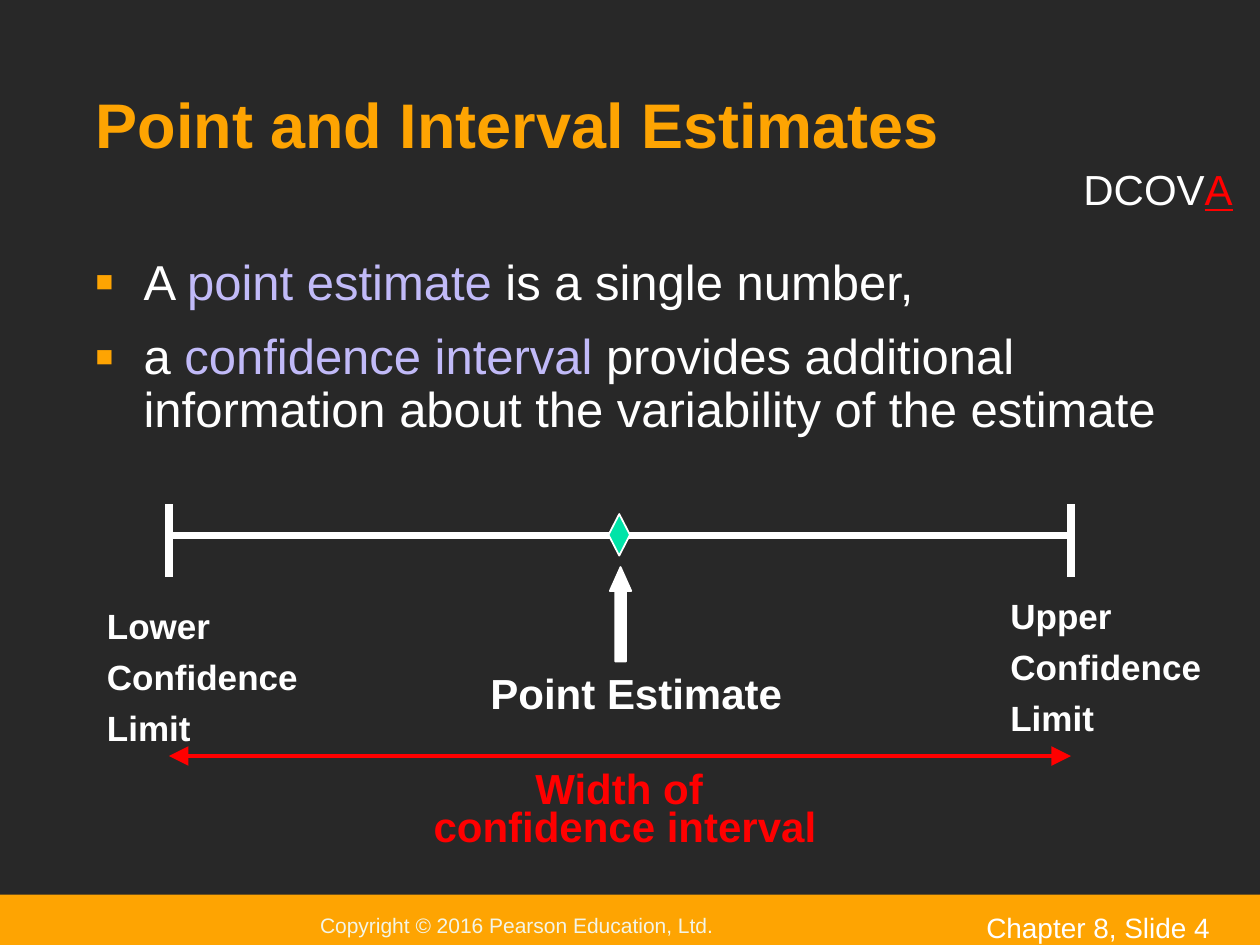
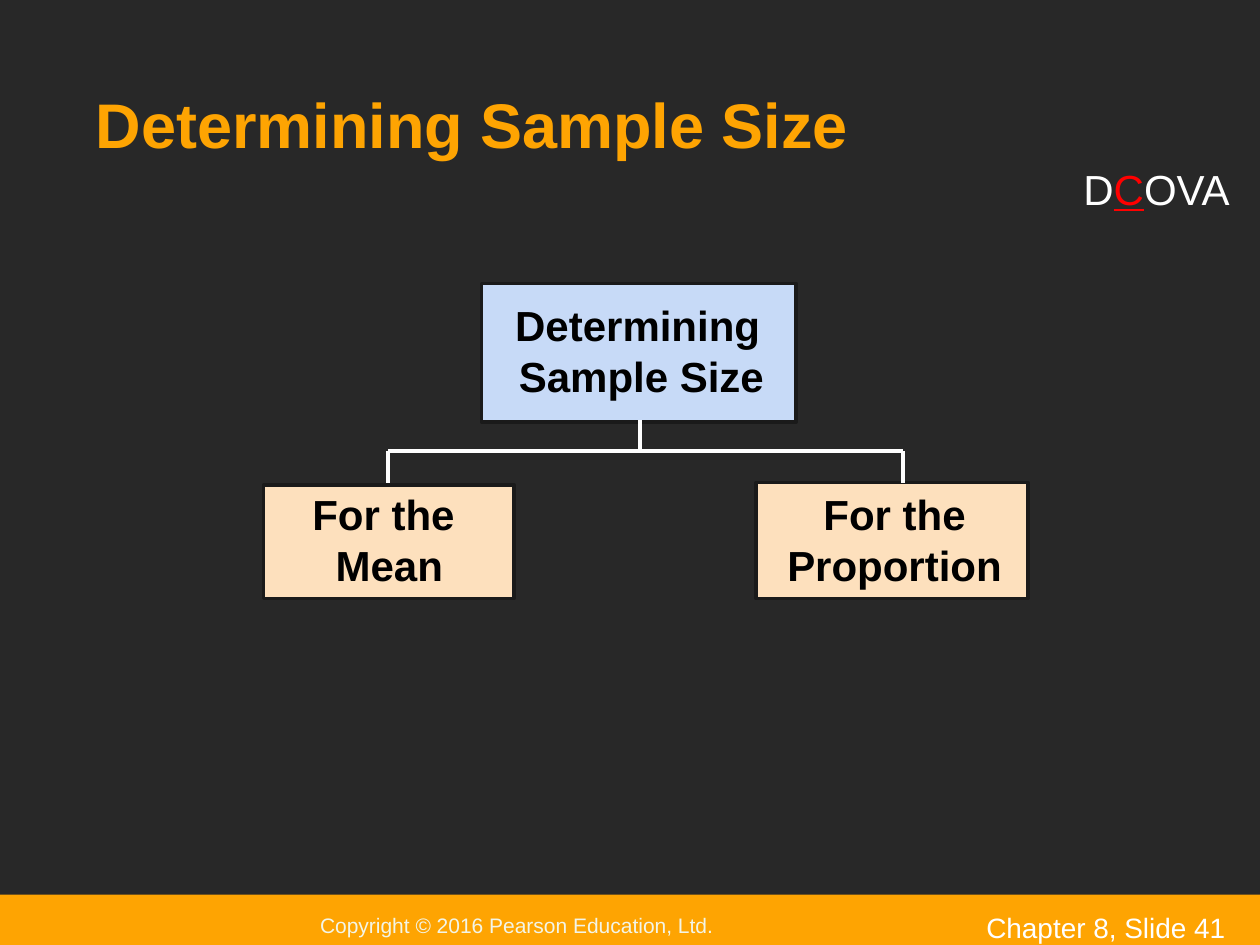
from dataclasses import dataclass
from typing import NamedTuple, Optional

from lxml import etree
from pptx import Presentation
from pptx import util as u
from pptx.dml.color import RGBColor
from pptx.enum import shapes, text
from pptx.oxml import ns

Inches, Pt = u.Inches, u.Pt
LEFT, CENTER = text.PP_ALIGN.LEFT, text.PP_ALIGN.CENTER
TOP, MIDDLE, BOTTOM = (text.MSO_ANCHOR.TOP, text.MSO_ANCHOR.MIDDLE,
                       text.MSO_ANCHOR.BOTTOM)


@dataclass(frozen=True)
class Theme:
    font: str = "Arial"
    ground: str = "282828"
    accent: str = "FEA402"
    white: str = "FFFFFF"
    black: str = "000000"
    red: str = "FF0000"
    term: str = "C1BAF8"
    copyright: str = "F3F5E7"
    marker: str = "00E4A8"
    topic: str = "C7DAF7"
    branch: str = "FDE0BD"
    frame: str = "1A1A1A"
    title_size: float = 36
    body_size: float = 28
    label_size: float = 24
    limit_size: float = 20
    page_size: float = 16
    copyright_size: float = 12


THEME = Theme()


class Area(NamedTuple):
    left: float
    top: float
    width: float
    height: float


class Span(NamedTuple):
    words: str
    color: str = THEME.white
    underline: bool = False


class Line(NamedTuple):
    start: tuple[float, float]
    end: tuple[float, float]
    color: str = THEME.white
    weight: float = 2.25
    arrows: bool = False


@dataclass(frozen=True)
class Label:
    area: Area
    paras: list[list[Span]]
    size: float = THEME.label_size
    bold: bool = True
    align: int = LEFT
    anchor: int = TOP
    inset: float = 0.1
    gap: float = 0
    spacing: Optional[float] = None
    last_spacing: Optional[float] = None
    bullet: bool = False


class Node(NamedTuple):
    area: Area
    fill: str


def plain(words: list[str], color: str = THEME.white) -> list[list[Span]]:
    return [[Span(word, color)] for word in words]


def add_bullet(para) -> None:
    props = para._p.get_or_add_pPr()
    props.set("marL", str(Inches(0.38)))
    props.set("indent", str(Inches(-0.38)))
    color = etree.SubElement(props, ns.qn("a:buClr"))
    etree.SubElement(color, ns.qn("a:srgbClr"), val=THEME.accent)
    etree.SubElement(props, ns.qn("a:buSzPct"), val="60000")
    etree.SubElement(props, ns.qn("a:buFont"), typeface=THEME.font)
    etree.SubElement(props, ns.qn("a:buChar"), char="■")


def write(frame, label: Label) -> None:
    frame.word_wrap = True
    frame.vertical_anchor = label.anchor
    frame.margin_left = frame.margin_right = Inches(label.inset)
    frame.margin_top = frame.margin_bottom = Inches(0.05)
    for index, spans in enumerate(label.paras):
        para = frame.add_paragraph() if index else frame.paragraphs[0]
        if label.bullet:
            add_bullet(para)
        para.alignment = label.align
        if label.spacing:
            para.line_spacing = label.spacing
        if index:
            para.space_before = Pt(label.gap)
            if label.last_spacing and index == len(label.paras) - 1:
                para.line_spacing = label.last_spacing
        for item in spans:
            span = para.add_run()
            span.text = item.words
            font = span.font
            font.name, font.size, font.bold = THEME.font, Pt(label.size), label.bold
            font.color.rgb = RGBColor.from_string(item.color)
            if item.underline:
                font.underline = True


def add_label(page, label: Label) -> None:
    box = page.shapes.add_textbox(*map(Inches, label.area))
    write(box.text_frame, label)


def add_figure(page, kind: int, area: Area, fill: str,
               outline: Optional[str] = None, weight: float = 1):
    figure = page.shapes.add_shape(kind, *map(Inches, area))
    figure.shadow.inherit = False
    figure.fill.solid()
    figure.fill.fore_color.rgb = RGBColor.from_string(fill)
    if outline:
        figure.line.color.rgb = RGBColor.from_string(outline)
        figure.line.width = Pt(weight)
    else:
        figure.line.fill.background()
    return figure


def add_line(page, line: Line) -> None:
    connector = page.shapes.add_connector(
        shapes.MSO_CONNECTOR.STRAIGHT, *map(Inches, line.start + line.end))
    connector.line.color.rgb = RGBColor.from_string(line.color)
    connector.line.width = Pt(line.weight)
    if line.arrows:
        stroke = connector.line._get_or_add_ln()
        for end in ("a:headEnd", "a:tailEnd"):
            etree.SubElement(stroke, ns.qn(end), type="triangle", w="lg", len="lg")
    etree.SubElement(connector._element.spPr, ns.qn("a:effectLst"))


def add_page(deck, title: str, number: int, step: int):
    """Add a page with its title, footer band and DCOVA step marker."""
    page = deck.slides.add_slide(deck.slide_layouts[6])
    page.background.fill.solid()
    page.background.fill.fore_color.rgb = RGBColor.from_string(THEME.ground)

    # Footer
    band_area = Area(0, 7.1, 10, 0.49)
    band = add_figure(page, shapes.MSO_SHAPE.RECTANGLE, band_area, THEME.accent)
    write(band.text_frame, Label(
        band_area, plain(["Copyright © 2016 Pearson Education, Ltd."], THEME.copyright),
        THEME.copyright_size, bold=False, anchor=MIDDLE, inset=2.54))
    add_label(page, Label(Area(7.73, 7.18, 2.33, 0.26),
                          plain([f"Chapter 8, Slide {number}"]),
                          THEME.page_size, bold=False))

    # Title and step marker
    add_label(page, Label(Area(0.67, 0.25, 8.67, 1.08), plain([title], THEME.accent),
                          THEME.title_size, anchor=BOTTOM, inset=0.09))
    steps = "DCOVA"
    parts = [Span(steps[:step]), Span(steps[step], THEME.red, True),
             Span(steps[step + 1:])]
    add_label(page, Label(Area(8.5, 1.25, 1.48, 0.5),
                          [[part for part in parts if part.words]], bold=False))
    return page


def build_estimates(deck) -> None:
    page = add_page(deck, "Point and Interval Estimates", 4, step=4)
    add_label(page, Label(
        Area(0.67, 2, 8.83, 2),
        [[Span("A "), Span("point estimate ", THEME.term),
          Span("is a single number,")],
         [Span("a "), Span("confidence interval ", THEME.term),
          Span("provides additional information about the variability"
               " of the estimate")]],
        THEME.body_size, bold=False, inset=0.09, gap=12.2, spacing=0.9, bullet=True))

    # Interval with its two ends
    lower, upper, axis = 1.34, 8.5, 4.25
    add_line(page, Line((lower, axis), (upper, axis), weight=4.5))
    for end in (lower, upper):
        add_line(page, Line((end, 4), (end, 4.58), weight=4.5))

    # Point estimate marker and pointer
    add_figure(page, shapes.MSO_SHAPE.DIAMOND, Area(4.83, 4.08, 0.17, 0.33),
               THEME.marker, THEME.white)
    pointer = add_figure(page, shapes.MSO_SHAPE.UP_ARROW,
                         Area(4.84, 4.5, 0.17, 0.75), THEME.white, THEME.white)
    pointer.adjustments[0], pointer.adjustments[1] = 0.5, 1.12
    add_label(page, Label(Area(3.09, 5.25, 3.92, 0.5), plain(["Point Estimate"]),
                          align=CENTER))

    # Limits
    for name, left, top in (("Lower", 0.75, 4.75), ("Upper", 7.92, 4.67)):
        add_label(page, Label(Area(left, top, 1.92, 1.24),
                              plain([name, "Confidence", "Limit"]),
                              THEME.limit_size, gap=5))

    # Width of the interval
    add_line(page, Line((lower, 6), (upper, 6), THEME.red, arrows=True))
    add_label(page, Label(Area(3, 6, 3.92, 0.75),
                          plain(["Width of ", "confidence interval"], THEME.red),
                          align=CENTER, gap=15, last_spacing=0.1))


def build_sample_size(deck) -> None:
    page = add_page(deck, "Determining Sample Size", 41, step=1)

    # Tree nodes
    for node in (Node(Area(6, 3.83, 2.16, 0.92), THEME.branch),
                 Node(Area(2.09, 3.85, 1.99, 0.9), THEME.branch),
                 Node(Area(3.82, 2.25, 2.5, 1.1), THEME.topic)):
        add_figure(page, shapes.MSO_SHAPE.RECTANGLE, node.area, node.fill,
                   THEME.frame, 2)

    # Node captions
    for area, words, align in (
            (Area(3.99, 2.33, 2.3, 0.5), ["Determining"], LEFT),
            (Area(4.02, 2.73, 2.3, 0.5), ["Sample Size"], LEFT),
            (Area(2.34, 3.83, 1.5, 0.9), ["For the ", "Mean"], CENTER),
            (Area(6.05, 3.83, 2.1, 0.9), ["For the", "Proportion"], CENTER)):
        add_label(page, Label(area, plain(words, THEME.black), align=align))

    # Branches
    trunk, left, right = 5.08, 3.08, 7.17
    root, fork, leaf = 3.33, 3.58, 3.83
    add_line(page, Line((trunk, root), (trunk, fork)))
    add_line(page, Line((left, fork), (right, fork)))
    for branch in (left, right):
        add_line(page, Line((branch, fork), (branch, leaf)))


def main() -> None:
    deck = Presentation()
    deck.slide_width, deck.slide_height = Inches(10), Inches(7.5)
    build_estimates(deck)
    build_sample_size(deck)
    deck.save("out.pptx")


if __name__ == "__main__":
    main()
